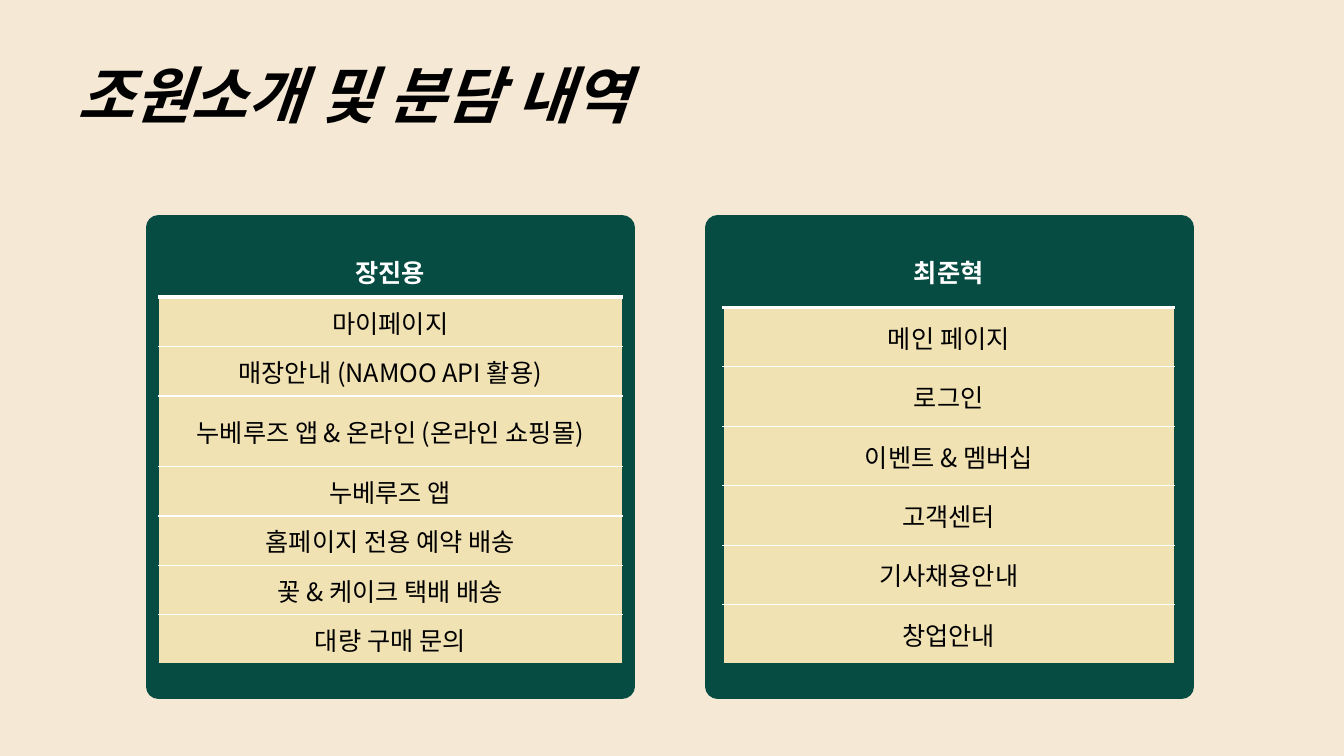
from lxml import etree
from pptx import Presentation
from pptx.dml.color import RGBColor
from pptx.enum.shapes import MSO_SHAPE
from pptx.enum.text import MSO_ANCHOR, PP_ALIGN
from pptx.oxml.ns import qn
from pptx.util import Inches, Pt

RECT = MSO_SHAPE.RECTANGLE
TOP, MIDDLE = MSO_ANCHOR.TOP, MSO_ANCHOR.MIDDLE
LEFT, CENTER = PP_ALIGN.LEFT, PP_ALIGN.CENTER

FONT = "Noto Sans CJK KR"
COLORS = {"page": "F5E8D5", "green": "074C43", "cream": "F1E2B4",
          "white": "FFFFFF", "black": "000000"}

TITLE = "조원소개 및 분담 내역"
MEMBERS = [
    {"name": "최준혁", "card_left": 7.12, "table_left": 7.17, "width": 4.48,
     "row": 0.59, "tall_rows": {},
     "tasks": ["메인 페이지", "로그인", "이벤트 & 멤버십", "고객센터",
               "기사채용안내", "창업안내"]},
    {"name": "장진용", "card_left": 1.57, "table_left": 1.57, "width": 4.6,
     "row": 0.49, "tall_rows": {3: 0.7},
     "tasks": ["마이페이지", "매장안내 (NAMOO API 활용)",
               "누베루즈 앱 & 온라인 (온라인 쇼핑몰)", "누베루즈 앱",
               "홈페이지 전용 예약 배송", "꽃 & 케이크 택배 배송", "대량 구매 문의"]},
]
CARD_TOP, CARD_WIDTH, CARD_HEIGHT = 2.26, 4.6, 4.55
TABLE_TOP = 2.46


def rgb(name):
    return RGBColor.from_string(COLORS[name])


def write(tf, text, size, color, align, bold=False, italic=False):
    p = tf.paragraphs[0]
    p.text = text
    p.alignment = align
    font = p.font
    font.size, font.bold, font.italic = Pt(size), bold, italic
    font.color.rgb = rgb(color)
    font.name = FONT
    props = p._p.pPr.find(qn("a:defRPr"))
    etree.SubElement(props, qn("a:ea"), typeface=FONT)


def add_border(cell, side, color, points):
    """Draw one cell side (L, R, T or B); call before filling the cell."""
    props = cell._tc.get_or_add_tcPr()
    line = etree.SubElement(props, qn(f"a:ln{side}"), w=str(Pt(points)))
    fill = etree.SubElement(line, qn("a:solidFill"))
    etree.SubElement(fill, qn("a:srgbClr"), val=COLORS[color])


def add_card(s, left):
    card = s.shapes.add_shape(RECT, Inches(left), Inches(CARD_TOP),
                              Inches(CARD_WIDTH), Inches(CARD_HEIGHT))
    card.shadow.inherit = False
    card.fill.solid()
    card.fill.fore_color.rgb = rgb("green")
    card.line.color.rgb = rgb("green")
    card.line.width = Pt(18)
    etree.SubElement(card.line._ln, qn("a:round"))


def add_task_table(s, member):
    texts = [member["name"]] + member["tasks"]
    heights = [member["tall_rows"].get(i, member["row"]) for i in range(len(texts))]
    table = s.shapes.add_table(
        len(texts), 1, Inches(member["table_left"]), Inches(TABLE_TOP),
        Inches(member["width"]), Inches(sum(heights))).table
    table.horz_banding = False

    # Horizontal rules from the top edge to the bottom edge
    rules = ([("green", 1), ("white", 3)]
             + [("white", 1)] * (len(texts) - 2) + [("green", 1)])
    for i, (text, height) in enumerate(zip(texts, heights)):
        header = i == 0
        table.rows[i].height = Inches(height)
        cell = table.cell(i, 0)
        cell.vertical_anchor = TOP if header else MIDDLE
        add_border(cell, "L", "green", 1)
        add_border(cell, "R", "green", 1)
        add_border(cell, "T", *rules[i])
        add_border(cell, "B", *rules[i + 1])
        cell.fill.solid()
        cell.fill.fore_color.rgb = rgb("green" if header else "cream")
        write(cell.text_frame, text, 18, "white" if header else "black",
              CENTER, bold=header)


def main():
    prs = Presentation()
    prs.slide_width, prs.slide_height = Inches(13.33), Inches(7.5)
    s = prs.slides.add_slide(prs.slide_layouts[6])
    s.background.fill.solid()
    s.background.fill.fore_color.rgb = rgb("page")

    title = s.shapes.add_textbox(Inches(0.67), Inches(0.43), Inches(12), Inches(1))
    tf = title.text_frame
    tf.word_wrap = True
    tf.vertical_anchor = MIDDLE
    write(tf, TITLE, 44, "black", LEFT, bold=True, italic=True)

    for member in MEMBERS:
        add_card(s, member["card_left"])
        add_task_table(s, member)
    prs.save("out.pptx")


if __name__ == "__main__":
    main()
